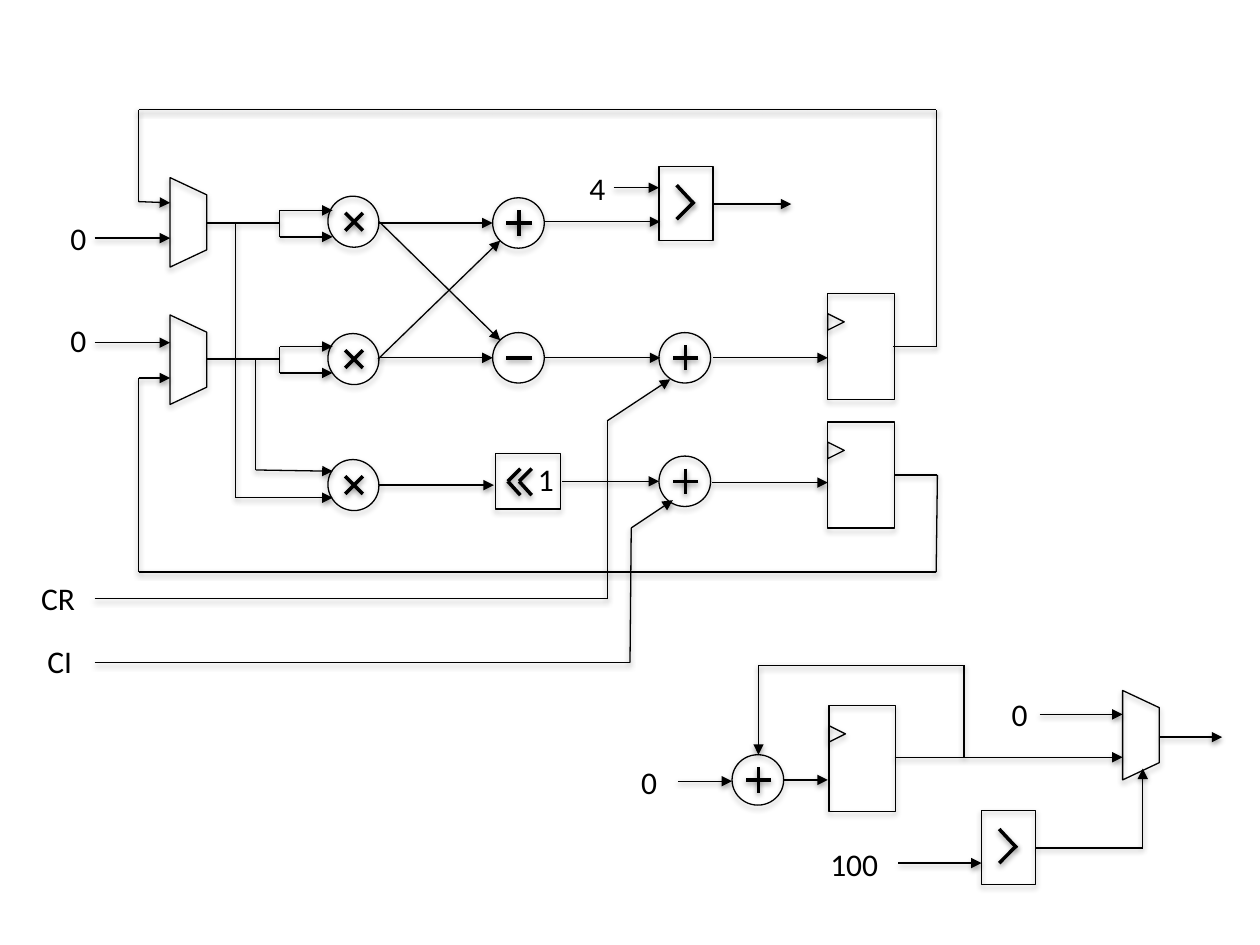
"""Build the datapath schematic slide."""
from itertools import pairwise
from typing import NamedTuple

from lxml import etree
from pptx import Presentation
from pptx.dml.color import RGBColor
from pptx.enum import shapes, text
from pptx.oxml.ns import qn
from pptx.util import Inches, Pt

BLACK = "000000"
SHAPE = shapes.MSO_SHAPE
Point = tuple[float, float]


class Operator(NamedTuple):
    """A round arithmetic unit given by its centre."""
    x: float
    y: float
    sign: str


class Wire(NamedTuple):
    """A chain of straight segments, with an arrowhead at its end if it drives an input."""
    points: list[Point]
    arrow: bool = True


class Label(NamedTuple):
    """A constant or input name in its text box."""
    wording: str
    x: float
    y: float
    width: float = 0.24
    align: text.PP_ALIGN = text.PP_ALIGN.CENTER


SIGNS = {
    "+": [((0, -0.1), (0, 0.1)), ((0.1, 0), (-0.1, 0))],
    "-": [((0.1, 0), (-0.1, 0))],
    "x": [((0.07, -0.07), (-0.07, 0.07)), ((0.07, 0.07), (-0.07, -0.07))],
    ">": [((0.07, 0.01), (-0.07, -0.14)), ((0.07, -0.01), (-0.07, 0.13))],
    "<": [((-0.05, 0), (0.05, -0.1)), ((0.05, 0.11), (-0.05, 0))],
}

MULTIPLEXERS = [(1.5, 2.86), (1.5, 1.77), (9.06, 5.84)]
OPERATORS = [
    Operator(4.12, 1.77, "+"), Operator(6.02, 6.19, "+"), Operator(2.81, 2.85, "x"),
    Operator(2.81, 1.76, "x"), Operator(2.81, 3.85, "x"), Operator(4.12, 2.84, "-"),
    Operator(5.44, 3.82, "+"), Operator(5.44, 2.84, "+"),
]
REGISTERS = [(6.58, 5.6), (6.57, 3.35), (6.57, 2.33)]
COMPARATORS = [(5.23, 1.32), (7.79, 6.43)]

WIRES = [
    Wire([(0.75, 1.89), (1.35, 1.89)]),
    Wire([(0.75, 2.72), (1.35, 2.72)]),
    Wire([(1.87, 1.77), (1.87, 3.95), (2.64, 3.95)]),
    Wire([(2.03, 2.85), (2.03, 3.73), (2.64, 3.74)]),
    Wire([(3, 1.77), (3.91, 1.77)]),
    Wire([(3, 2.85), (3.97, 1.91)]),
    Wire([(3, 2.84), (3.91, 2.84)]),
    Wire([(3.01, 1.76), (3.97, 2.7)]),
    Wire([(4.32, 1.76), (5.24, 1.76)]),
    Wire([(4.87, 1.49), (5.23, 1.49)]),
    Wire([(5.66, 1.62), (6.28, 1.62)]),
    Wire([(4.32, 2.84), (5.24, 2.84)]),
    Wire([(3.01, 3.85), (3.92, 3.85)]),
    Wire([(4.46, 3.82), (5.23, 3.82)]),
    Wire([(0.75, 4.75), (4.82, 4.75), (4.82, 3.34), (5.32, 3.01)]),
    Wire([(0.75, 5.26), (5, 5.26), (5.01, 4.19), (5.34, 3.97)]),
    Wire([(5.66, 2.84), (6.57, 2.84)]),
    Wire([(5.65, 3.83), (6.57, 3.83)]),
    Wire([(7.1, 3.77), (7.44, 3.77), (7.43, 4.54), (1.1, 4.54), (1.1, 3), (1.35, 3)]),
    Wire([(7.09, 2.75), (7.43, 2.75), (7.43, 0.87), (1.1, 0.87), (1.1, 1.6), (1.35, 1.61)]),
    Wire([(7.13, 6.85), (7.79, 6.85)]),
    Wire([(8.22, 6.73), (9.07, 6.73), (9.07, 6.1)]),
    Wire([(8.25, 5.67), (8.91, 5.67)]),
    Wire([(7.1, 6.01), (8.91, 6.01)]),
    Wire([(5.38, 6.2), (5.81, 6.2)]),
    Wire([(6.22, 6.19), (6.57, 6.19)]),
    Wire([(7.65, 6.01), (7.65, 5.28), (6.02, 5.28), (6.02, 5.99)]),
    Wire([(9.21, 5.85), (9.7, 5.85)]),
]
for row in (1.77, 2.85):
    WIRES += [
        Wire([(1.64, row), (2.22, row)], arrow=False),
        Wire([(2.22, row), (2.22, row - 0.1), (2.64, row - 0.1)]),
        Wire([(2.22, row), (2.22, row + 0.11), (2.64, row + 0.11)]),
    ]

LABELS = [
    Label("0", 0.46, 2.5), Label("0", 0.46, 1.69), Label("4", 4.58, 1.29),
    Label("CR", 0.22, 4.55, 0.48), Label("CI", 0.27, 5.05, 0.41),
    Label("100", 6.43, 6.66, 0.7), Label("0", 7.93, 5.47, 0.32), Label("0", 4.99, 6.01, 0.32),
]


def color(value: str) -> RGBColor:
    """Return the colour for a hex string."""
    return RGBColor.from_string(value)


def style(item, weight: float, distance: int, opacity: int) -> None:
    """Give a shape or connector its outline and soft drop shadow."""
    item.line.color.rgb = color(BLACK)
    item.line.width = Pt(weight)
    effects = etree.SubElement(item._element.spPr, qn("a:effectLst"))
    shadow = etree.SubElement(effects, qn("a:outerShdw"), blurRad="40000", dist=str(distance),
                              dir="5400000", rotWithShape="0")
    tint = etree.SubElement(shadow, qn("a:srgbClr"), val=BLACK)
    etree.SubElement(tint, qn("a:alpha"), val=str(opacity * 1000))


def add_outline(canvas, kind, x: float, y: float, width: float, height: float, turn: float = 0):
    """Add an unfilled preset shape."""
    outline = canvas.add_shape(kind, Inches(x), Inches(y), Inches(width), Inches(height))
    outline.rotation = turn
    outline.fill.background()
    style(outline, 0.75, 23000, 35)
    return outline


def add_segment(canvas, start: Point, end: Point, weight: float = 0.75, arrow: bool = False) -> None:
    """Add one straight line, optionally with an arrowhead."""
    segment = canvas.add_connector(shapes.MSO_CONNECTOR.STRAIGHT, *map(Inches, start + end))
    style(segment, weight, 20000, 38)
    if arrow:
        etree.SubElement(segment.line._get_or_add_ln(), qn("a:tailEnd"), type="triangle")


def add_sign(canvas, sign: str, x: float, y: float) -> None:
    """Draw the strokes of a sign around a centre."""
    for (x1, y1), (x2, y2) in SIGNS[sign]:
        add_segment(canvas, (x + x1, y + y1), (x + x2, y + y2), 2)


def add_label(canvas, label: Label) -> None:
    """Add a text label."""
    box = canvas.add_textbox(Inches(label.x), Inches(label.y), Inches(label.width), Inches(0.4))
    frame = box.text_frame
    frame.word_wrap = True
    frame.auto_size = text.MSO_AUTO_SIZE.SHAPE_TO_FIT_TEXT
    line = frame.paragraphs[0]
    line.text = label.wording
    line.alignment = label.align
    line.font.name, line.font.size = "Calibri", Pt(18)
    line.font.color.rgb = color(BLACK)


deck = Presentation()
deck.slide_width, deck.slide_height = Inches(10), Inches(7.5)
board = deck.slides.add_slide(deck.slide_layouts[6]).shapes

for x, y in MULTIPLEXERS:
    multiplexer = add_outline(board, SHAPE.TRAPEZOID, x - 0.36, y - 0.15, 0.71, 0.29, 90)
    multiplexer.adjustments[0] = 0.47

for x, y, sign in OPERATORS:
    unit = board.add_group_shape().shapes
    add_outline(unit, SHAPE.OVAL, x - 0.21, y - 0.2, 0.41, 0.4, 45 if sign == "x" else 0)
    add_sign(unit, sign, x, y)

for x, y in REGISTERS:
    register = board.add_group_shape().shapes
    add_outline(register, SHAPE.RECTANGLE, x, y, 0.53, 0.84)
    add_outline(register, SHAPE.ISOSCELES_TRIANGLE, x, y + 0.16, 0.13, 0.13, 90)

for x, y in COMPARATORS:
    comparator = board.add_group_shape().shapes
    add_outline(comparator, SHAPE.RECTANGLE, x, y, 0.43, 0.59)
    add_sign(comparator, ">", x + 0.21, y + 0.29)

shifter = board.add_group_shape().shapes
add_outline(shifter, SHAPE.RECTANGLE, 3.93, 3.6, 0.52, 0.44)
for x in (4.08, 4.17):
    add_sign(shifter, "<", x, 3.82)
add_label(shifter, Label("1", 4.17, 3.6, align=text.PP_ALIGN.LEFT))

for wire in WIRES:
    segments = list(pairwise(wire.points))
    for number, (start, end) in enumerate(segments, 1):
        add_segment(board, start, end, arrow=wire.arrow and number == len(segments))

for label in LABELS:
    add_label(board, label)

deck.save("out.pptx")
